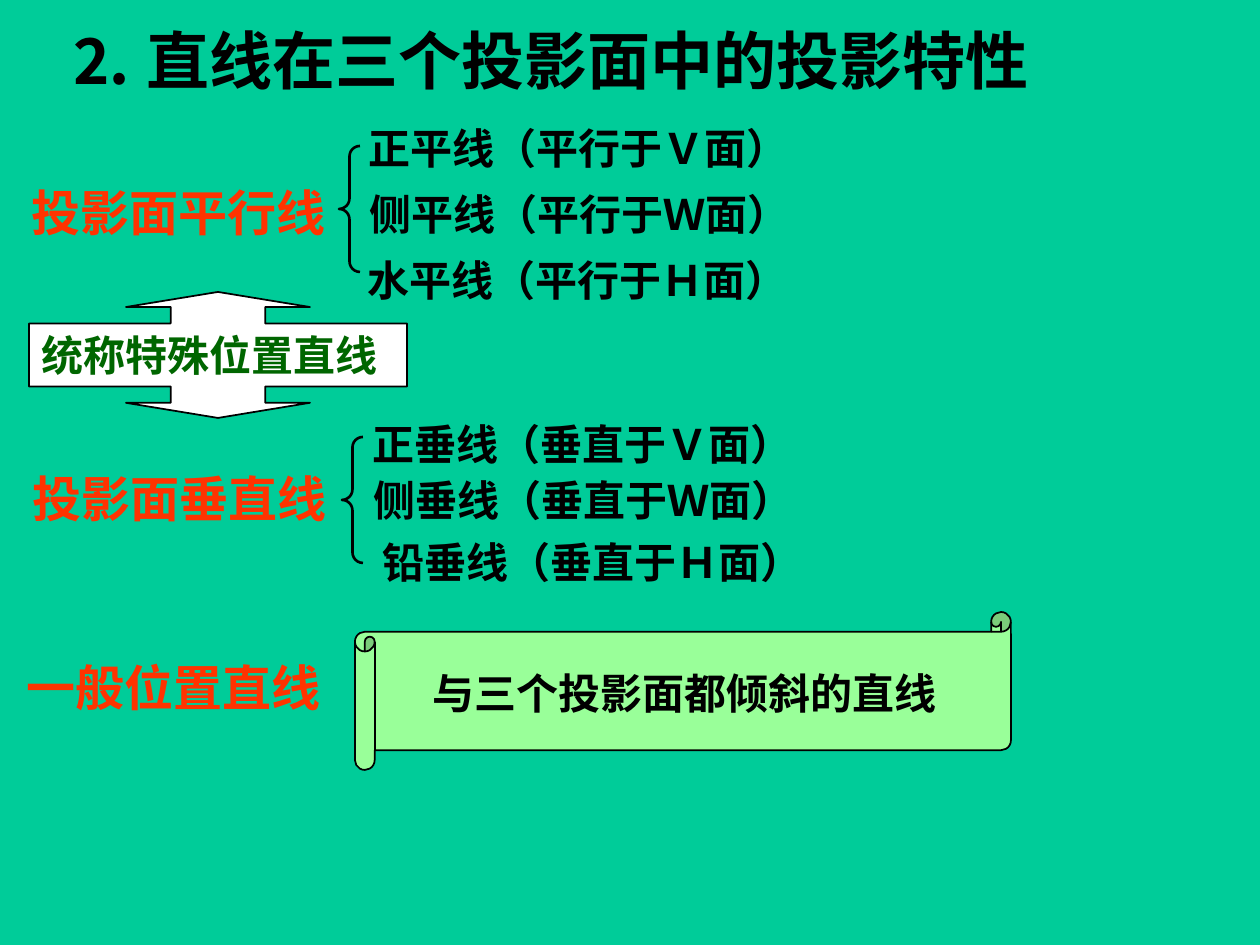
import pptx
import pptx.util
import pptx.dml.color
import pptx.enum.shapes
import pptx.enum.text
import pptx.oxml
import pptx.oxml.ns
from dataclasses import dataclass

KIND = pptx.enum.shapes.MSO_SHAPE
ALIGN = pptx.enum.text.PP_ALIGN
SCALE = 914400 / 126


@dataclass
class Theme:
    back: str = "00CC99"
    ink: str = "000000"
    red: str = "FF3300"
    green: str = "006600"
    pale: str = "99FF99"
    white: str = "FFFFFF"
    title: int = 36
    label: int = 28
    body: int = 24
    latin: str = "Times New Roman"
    asian: str = "Noto Sans CJK SC"


def px(*vals):
    return [pptx.util.Emu(round(v * SCALE)) for v in vals]


def rgb(code):
    return pptx.dml.color.RGBColor.from_string(code)


def write(shape, text, size, color, font, asian, align=ALIGN.LEFT, wrap=False):
    frame = shape.text_frame
    frame.word_wrap = wrap
    frame.auto_size = pptx.enum.text.MSO_AUTO_SIZE.SHAPE_TO_FIT_TEXT
    frame.vertical_anchor = pptx.enum.text.MSO_ANCHOR.MIDDLE
    para = frame.paragraphs[0]
    para.alignment = align
    run = para.add_run()
    run.text = text
    run.font.size = pptx.util.Pt(size)
    run.font.bold = True
    run.font.name = font
    run.font.color.rgb = rgb(color)
    # East Asian typeface
    east = pptx.oxml.parse_xml(f'<a:ea {pptx.oxml.ns.nsdecls("a")} typeface="{asian}"/>')
    run.font._element.append(east)


class Deck:
    def __init__(self, theme):
        self.theme = theme
        self.file = pptx.Presentation()
        self.file.slide_width, self.file.slide_height = px(1260, 945)
        self.slide = self.file.slides.add_slide(self.file.slide_layouts[6])
        fill = self.slide.background.fill
        fill.solid()
        fill.fore_color.rgb = rgb(theme.back)

    def text(self, box, text, size=None, color=None, font=None, **form):
        shape = self.slide.shapes.add_textbox(*px(*box))
        self.fill_in(shape, text, size, color, font, **form)

    def fill_in(self, shape, text, size=None, color=None, font=None, **form):
        t = self.theme
        write(shape, text, size or t.body, color or t.ink, font or t.latin, t.asian, **form)

    def shape(self, kind, box, fill=None, line=1, adj=(), host=None):
        shape = (host or self.slide).shapes.add_shape(kind, *px(*box))
        shape.shadow.inherit = False
        for i, val in enumerate(adj):
            shape.adjustments[i] = val
        if fill:
            shape.fill.solid()
            shape.fill.fore_color.rgb = rgb(fill)
        else:
            shape.fill.background()
        if line:
            shape.line.color.rgb = rgb(self.theme.ink)
            shape.line.width = pptx.util.Pt(line)
        else:
            shape.line.fill.background()
        return shape

    def brace(self, left, top):
        self.shape(KIND.LEFT_BRACE, (left, top, 21, 126), line=1.5, adj=(0.5, 0.5))


def main():
    t = Theme()
    deck = Deck(t)

    # Title
    deck.text((55, 15, 988, 88), "⒉ 直线在三个投影面中的投影特性",
              size=t.title, font=t.asian, align=ALIGN.CENTER)

    # Names of the three line classes
    labels = [
        ("投影面平行线", (19, 176, 319, 72), False),
        ("投影面垂直线", (20, 462, 344, 72), True),
        ("一般位置直线", (14, 651, 397, 72), True),
    ]
    for text, box, wrap in labels:
        deck.text(box, text, size=t.label, color=t.red, wrap=wrap)

    # Members of the parallel and perpendicular classes
    items = [
        ("正平线（平行于Ｖ面）", 356, 116, 445),
        ("侧平线（平行于Ｗ面）", 357, 182, 445),
        ("水平线（平行于Ｈ面）", 352, 248, 452),
        ("正垂线（垂直于Ｖ面）", 360, 412, 445),
        ("侧垂线（垂直于Ｗ面）", 361, 468, 445),
        ("铅垂线（垂直于Ｈ面）", 368, 530, 450),
    ]
    for text, left, top, wide in items:
        deck.text((left, top, wide, 63), text, align=ALIGN.CENTER)

    # Scroll with the general case
    group = deck.slide.shapes.add_group_shape()
    deck.shape(KIND.HORIZONTAL_SCROLL, (355, 612, 656, 158), t.pale, adj=(0.125,), host=group)
    note = deck.shape(KIND.RECTANGLE, (420, 661, 529, 63), t.pale, line=0, host=group)
    deck.fill_in(note, "与三个投影面都倾斜的直线")

    # Two-way arrow joining the special classes
    arrow = deck.shape(KIND.UP_DOWN_ARROW_CALLOUT, (29, 292, 378, 126), t.white,
                       adj=(0.75, 0.73, 0.12, 0.5))
    deck.fill_in(arrow, "统称特殊位置直线", color=t.green, wrap=True)

    # Braces
    for left, top in ((339, 146), (342, 437)):
        deck.brace(left, top)

    deck.file.save("out.pptx")


if __name__ == "__main__":
    main()
